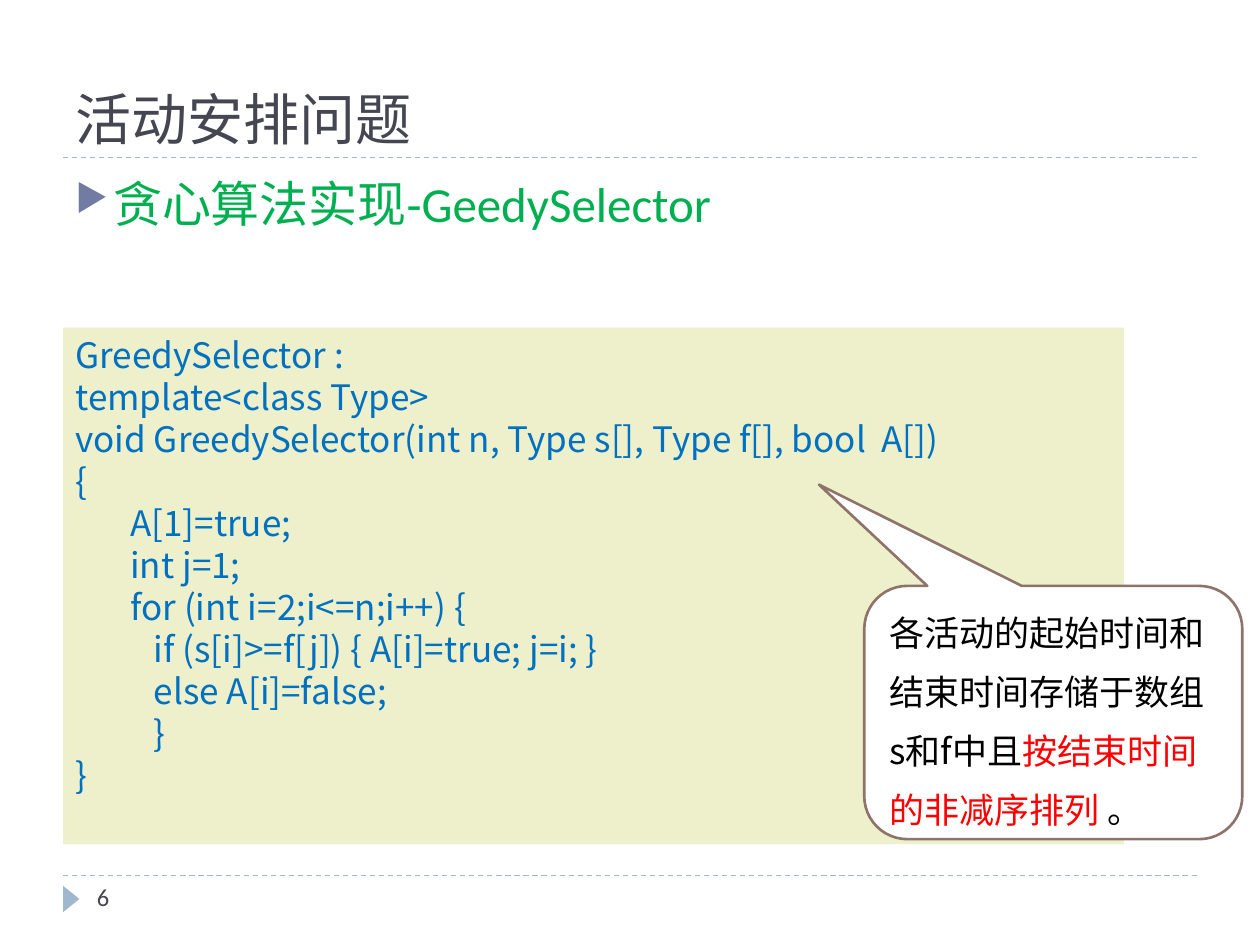
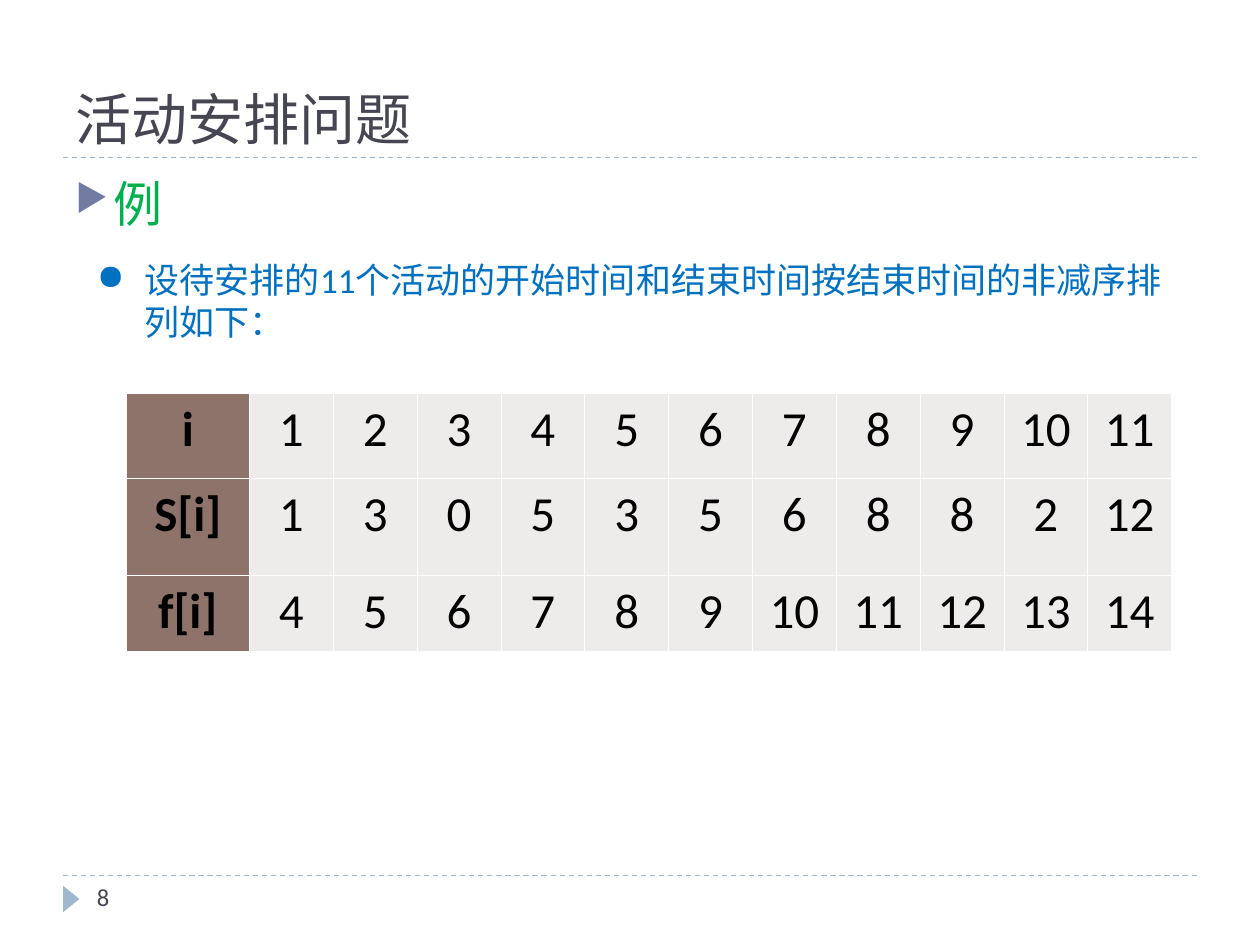
"""Build two slides on the activity selection problem."""
from dataclasses import dataclass

import lxml.etree
import pptx
import pptx.chart.data
import pptx.dml.color
import pptx.enum.dml
import pptx.enum.shapes
import pptx.enum.text
import pptx.oxml.ns
import pptx.util

Inches = pptx.util.Inches
Pt = pptx.util.Pt
Shapes = pptx.enum.shapes.MSO_SHAPE
Anchor = pptx.enum.text.MSO_ANCHOR

SLATE, PALE_BLUE, INDIGO = "464653", "9FB8CD", "727CA3"
GREEN, BLUE, RED, BLACK, WHITE = "00B050", "0070C0", "FF0000", "000000", "FFFFFF"
CODE_FILL, BROWN, CELL_FILL = "EDF0CA", "8E736A", "EEEBEB"
LATIN, CJK_SC, CJK_JP = "Calibri", "Noto Sans CJK SC", "Noto Sans CJK JP"

CODE = """GreedySelector :
template<class Type>
void GreedySelector(int n, Type s[], Type f[], bool  A[])
{
       A[1]=true;
       int j=1;
       for (int i=2;i<=n;i++) {
          if (s[i]>=f[j]) { A[i]=true; j=i; }
          else A[i]=false;
          }
}"""
CALLOUT = [("各活动的起始时间和结束时间存储于数组s和f中且", BLACK),
           ("按结束时间的非减序排列 ", RED), ("。", BLACK)]
ACTIVITIES = {
    "i": range(1, 12),
    "S[i]": [1, 3, 0, 5, 3, 5, 6, 8, 8, 2, 12],
    "f[i]": range(4, 15),
}
ROW_HEIGHTS = [0.68, 0.77, 0.6]


@dataclass(frozen=True)
class Area:
    """A rectangle in inches."""
    left: float
    top: float
    width: float
    height: float

    def lengths(self) -> list:
        """Return the four lengths."""
        return [Inches(n) for n in (self.left, self.top, self.width, self.height)]


@dataclass(frozen=True)
class TextStyle:
    """The look of a paragraph."""
    size: int
    face: str
    color: str
    bold: bool = False


@dataclass(frozen=True)
class Bullet:
    """A bullet with its hanging indent in inches."""
    symbol: str
    color: str
    indent: float
    percent: int = 100


TITLE = TextStyle(32, CJK_SC, SLATE)
TOPIC = TextStyle(28, LATIN, GREEN)
NUMBER = TextStyle(14, LATIN, SLATE)
LISTING = TextStyle(20, CJK_SC, BLUE)
DETAIL = TextStyle(20, LATIN, BLUE)
REMARK = TextStyle(20, CJK_JP, BLACK)
VALUE = TextStyle(28, LATIN, BLACK)
LABEL = TextStyle(28, LATIN, BLACK, True)
ARROW_BULLET = Bullet("▶", INDIGO, 0.3, 76)
DOT_BULLET = Bullet("●", BLUE, 0.38)


def rgb(color: str) -> pptx.dml.color.RGBColor:
    """Turn a hex string into a colour."""
    return pptx.dml.color.RGBColor.from_string(color)


def add_element(parent, tag: str, **attributes: str):
    """Append a drawing element to a parent."""
    return lxml.etree.SubElement(parent, pptx.oxml.ns.qn(tag), attributes)


def style_para(para, style: TextStyle) -> None:
    """Set the font of a paragraph."""
    font = para.font
    font.size, font.name, font.bold = Pt(style.size), style.face, style.bold
    font.color.rgb = rgb(style.color)


def add_bullet(para, bullet: Bullet) -> None:
    """Give a paragraph a bullet."""
    props = para._p.get_or_add_pPr()
    props.set("marL", str(Inches(bullet.indent)))
    props.set("indent", str(-Inches(bullet.indent)))
    add_element(add_element(props, "a:buClr"), "a:srgbClr", val=bullet.color)
    add_element(props, "a:buSzPct", val=str(bullet.percent * 1000))
    add_element(props, "a:buChar", char=bullet.symbol)


def add_text(page, area: Area, text: str, style: TextStyle,
             bullet: Bullet | None = None, anchor=Anchor.TOP) -> None:
    """Add a text box holding one paragraph."""
    frame = page.shapes.add_textbox(*area.lengths()).text_frame
    frame.word_wrap, frame.vertical_anchor = True, anchor
    para = frame.paragraphs[0]
    para.text = text
    if bullet:
        add_bullet(para, bullet)
    style_para(para, style)


def add_panel(page, kind, area: Area, fill: str, line: str | None = None):
    """Add a filled preset shape with left-aligned text."""
    panel = page.shapes.add_shape(kind, *area.lengths())
    panel.shadow.inherit = False
    panel.fill.solid()
    panel.fill.fore_color.rgb = rgb(fill)
    if line:
        panel.line.color.rgb, panel.line.width = rgb(line), Pt(1.5)
    else:
        panel.line.fill.background()
    panel.text_frame.word_wrap = True
    panel.text_frame.paragraphs[0].alignment = pptx.enum.text.PP_ALIGN.LEFT
    return panel


def add_rule(page, top: float) -> None:
    """Draw a dashed line across the page."""
    rule = page.shapes.add_connector(
        pptx.enum.shapes.MSO_CONNECTOR.STRAIGHT,
        Inches(0.5), Inches(top), Inches(9.5), Inches(top))
    rule.line.color.rgb, rule.line.width = rgb(PALE_BLUE), Pt(0.75)
    rule.line.dash_style = pptx.enum.dml.MSO_LINE.DASH
    add_element(rule._element.spPr, "a:effectLst")


def add_page(deck, number: int, topic: str):
    """Add a page with the shared title, topic and footer."""
    page = deck.slides.add_slide(deck.slide_layouts[6])
    for top in (6.95, 1.25):
        add_rule(page, top)
    marker = add_panel(page, Shapes.ISOSCELES_TRIANGLE,
                       Area(0.46, 7.07, 0.21, 0.13), PALE_BLUE)
    marker.rotation = 90
    add_text(page, Area(0.5, 0.17, 9, 1.08), "活动安排问题", TITLE,
             anchor=Anchor.BOTTOM)
    add_text(page, Area(0.5, 1.33, 9, 0.67), topic, TOPIC, ARROW_BULLET)
    add_text(page, Area(0.67, 6.95, 2.17, 0.4), str(number), NUMBER)
    return page


def add_code(page) -> None:
    """Add the code listing."""
    panel = add_panel(page, Shapes.RECTANGLE, Area(0.5, 2.6, 8.42, 4.1), CODE_FILL)
    frame = panel.text_frame
    frame.vertical_anchor = Anchor.TOP
    frame.text = CODE
    for para in frame.paragraphs:
        para.alignment = pptx.enum.text.PP_ALIGN.LEFT
        style_para(para, LISTING)


def add_callout(page) -> None:
    """Add the remark that points at the parameters."""
    callout = add_panel(page, Shapes.ROUNDED_RECTANGULAR_CALLOUT,
                        Area(6.86, 4.65, 3, 2.01), WHITE, BROWN)
    for index, value in enumerate((-0.62, -0.9, 0.17)):
        callout.adjustments[index] = value
    callout.text_frame.vertical_anchor = Anchor.MIDDLE
    para = callout.text_frame.paragraphs[0]
    para.line_spacing = 1.4
    style_para(para, REMARK)
    for text, color in CALLOUT:
        span = para.add_run()
        span.text = text
        span.font.color.rgb = rgb(color)


def fill_cell(cell, text: str, style: TextStyle, fill: str) -> None:
    """Write one table cell with thin white borders."""
    para = cell.text_frame.paragraphs[0]
    para.text = text
    para.alignment = pptx.enum.text.PP_ALIGN.CENTER
    style_para(para, style)
    props = cell._tc.get_or_add_tcPr()
    for side in ("a:lnL", "a:lnR", "a:lnT", "a:lnB"):
        border = add_element(props, side, w=str(Pt(0.45)))
        add_element(add_element(border, "a:solidFill"), "a:srgbClr", val=WHITE)
    cell.fill.solid()
    cell.fill.fore_color.rgb = rgb(fill)


def add_activities(page) -> None:
    """Add the table of start and finish times."""
    area, label_width = Area(1, 3.12, 8.3, 2.05), 0.98
    count = len(ACTIVITIES["i"])
    table = page.shapes.add_table(len(ACTIVITIES), count + 1, *area.lengths()).table
    for index, column in enumerate(table.columns):
        column.width = Inches((area.width - label_width) / count if index else label_width)
    for row, height, (label, values) in zip(table.rows, ROW_HEIGHTS, ACTIVITIES.items()):
        row.height = Inches(height)
        head, *others = row.cells
        fill_cell(head, label, LABEL, BROWN)
        for cell, value in zip(others, values):
            fill_cell(cell, str(value), VALUE, CELL_FILL)


def main() -> None:
    """Build and save the deck."""
    deck = pptx.Presentation()
    deck.slide_width, deck.slide_height = Inches(10), Inches(7.5)

    page = add_page(deck, 6, "贪心算法实现-GeedySelector")
    add_code(page)
    add_callout(page)

    page = add_page(deck, 8, "例")
    add_text(page, Area(0.67, 2, 8.91, 0.77),
             "设待安排的11个活动的开始时间和结束时间按结束时间的非减序排列如下：",
             DETAIL, DOT_BULLET)
    add_activities(page)

    deck.save("out.pptx")


if __name__ == "__main__":
    main()
